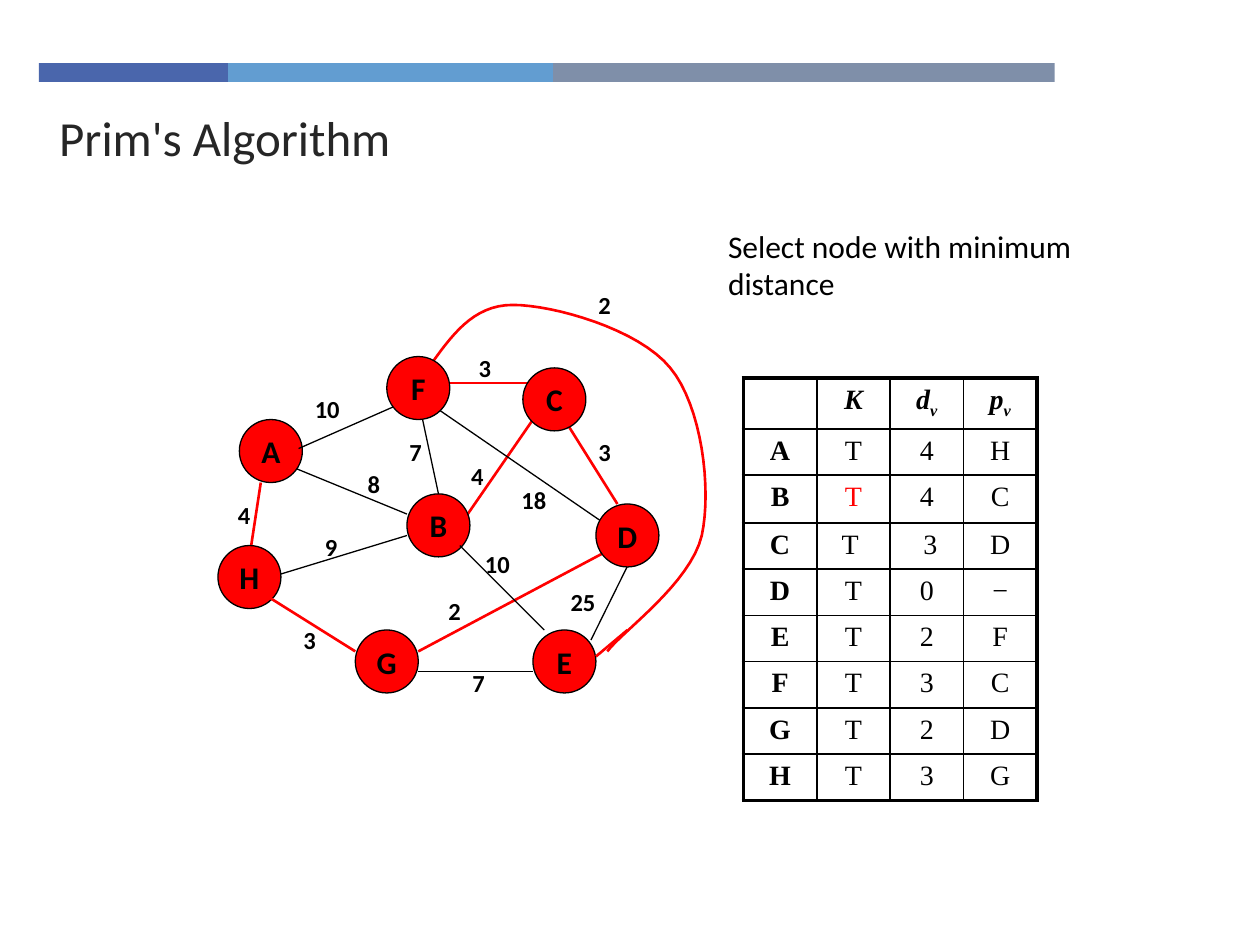
from lxml.etree import SubElement
from pptx import Presentation
from pptx.dml.color import RGBColor as RGB
from pptx.enum.shapes import MSO_CONNECTOR as CONN, MSO_SHAPE as SHAPE
from pptx.enum.text import MSO_ANCHOR as ANCHOR, MSO_AUTO_SIZE as AUTO, PP_ALIGN as ALIGN
from pptx.oxml import parse_xml
from pptx.oxml.ns import nsdecls, qn
from pptx.util import Pt

PX = 9144
C = {"black": "000000", "red": "FF0000", "title": "262626",
     "navy": "4A66AC", "sky": "629DD1", "slate": "7F8FA9"}
BARS = [("navy", 150), ("sky", 258), ("slate", 398)]
NODE = 50
NODES = {"A": (20, 113), "H": (3, 213), "B": (153, 172), "F": (137, 63),
         "E": (253, 280), "D": (303, 180), "C": (245, 72), "G": (112, 280)}
EDGES_BELOW = [
    ("black", 340, 205, 299, 288), ("black", 162, 97, 178, 172),
    ("red", 195, 197, 253, 113), ("black", 312, 197, 178, 105),
    ("black", 45, 238, 153, 205), ("red", 162, 297, 320, 213),
    ("red", 28, 222, 37, 163), ("black", 53, 147, 153, 188),
    ("red", 183, 84, 262, 84), ("red", 278, 113, 320, 180)]
EDGES_ABOVE = [
    ("black", 195, 213, 262, 280), ("black", 253, 313, 162, 313),
    ("red", 112, 297, 45, 255), ("black", 67, 136, 142, 103),
    ("red", 328, 280, 303, 301)]
CURVE = [(170, 72), (188, 47), (205, 22), (237, 22), (269, 22), (337, 41), (362, 72),
         (387, 102), (395, 168), (387, 205), (378, 243), (324, 281), (312, 297)]
WEIGHTS = [
    ("4", 9, 172), ("25", 273, 241), ("7", 195, 305), ("2", 176, 248), ("10", 205, 211),
    ("18", 234, 160), ("3", 295, 122), ("4", 194, 141), ("3", 200, 55), ("7", 145, 122),
    ("8", 112, 147), ("9", 78, 197), ("3", 61, 271), ("10", 70, 88), ("2", 295, 5)]
ROWS = [("", "K", "dv", "pv"), ("A", "T", "4", "H"), ("B", "T", "4", "C"),
        ("C", "T ", " 3", "D"), ("D", "T", "0", "−"), ("E", "T", "2", "F"),
        ("F", "T", "3", "C"), ("G", "T", "2", "D"), ("H", "T", "3", "G")]


def box(*lengths):
    """Turn px lengths into EMU."""
    return [round(n * PX) for n in lengths]


def style(r, size, color="black", bold=False, italic=False, font="Calibri"):
    """Format one run."""
    f = r.font
    f.name, f.size, f.bold, f.italic = font, Pt(size), bold, italic
    f.color.rgb = RGB.from_string(C[color])


def outline(line, color, width):
    """Give a line its colour and width."""
    line.color.rgb = RGB.from_string(C[color])
    line.width = Pt(width)


def add_text(s, x, y, w, h, text, size, bold=False):
    """Add a wrapped text box that grows with its text."""
    tf = s.shapes.add_textbox(*box(x, y, w, h)).text_frame
    tf.word_wrap, tf.auto_size = True, AUTO.SHAPE_TO_FIT_TEXT
    tf.text = text
    style(tf.paragraphs[0].runs[0], size, bold=bold)


def add_bars(s, x, y, h):
    """Lay the coloured bars end to end."""
    for color, w in BARS:
        sp = s.shapes.add_shape(SHAPE.RECTANGLE, *box(x, y, w, h))
        sp.shadow.inherit = False
        sp.fill.solid()
        sp.fill.fore_color.rgb = RGB.from_string(C[color])
        sp.line.fill.background()
        x += w


def add_title(s, x, y, w, h, text):
    """Place and format the title placeholder."""
    sp = s.shapes.title
    sp.left, sp.top, sp.width, sp.height = box(x, y, w, h)
    tf = sp.text_frame
    tf.text = text
    tf.vertical_anchor, tf.auto_size = ANCHOR.TOP, AUTO.NONE
    p = tf.paragraphs[0]
    p.alignment = ALIGN.LEFT
    style(p.runs[0], 28, "title")


def bezier(a, b, c, d, t):
    """Return the point at t on a cubic curve."""
    u = 1 - t
    return tuple(u**3 * i + 3 * u * u * t * j + 3 * u * t * t * k + t**3 * m
                 for i, j, k, m in zip(a, b, c, d))


def add_curve(s, x, y, steps=16):
    """Draw the curved edge from F to E."""
    pts = [bezier(*CURVE[i:i + 4], n / steps)
           for i in range(0, len(CURVE) - 1, 3) for n in range(1, steps + 1)]
    (x0, y0), *rest = [box(x + px, y + py) for px, py in [CURVE[0], *pts]]
    fb = s.shapes.build_freeform(x0, y0)
    fb.add_line_segments(rest, close=False)
    sp = fb.convert_to_shape()
    sp.shadow.inherit = False
    sp.fill.background()
    outline(sp.line, "red", 1.5)


def add_edges(s, x, y, edges):
    """Draw straight edges, tree edges being red and thicker."""
    for color, x1, y1, x2, y2 in edges:
        cn = s.shapes.add_connector(CONN.STRAIGHT, *box(x + x1, y + y1, x + x2, y + y2))
        outline(cn.line, color, 1.5 if color == "red" else 0.75)
        SubElement(cn._element.spPr, qn("a:effectLst"))


def add_nodes(s, x, y):
    """Draw the lettered nodes."""
    for name, (dx, dy) in NODES.items():
        sp = s.shapes.add_shape(SHAPE.OVAL, *box(x + dx, y + dy, NODE, NODE))
        sp.shadow.inherit = False
        sp.fill.solid()
        sp.fill.fore_color.rgb = RGB.from_string(C["red"])
        outline(sp.line, "black", 0.75)
        tf = sp.text_frame
        tf.word_wrap, tf.vertical_anchor = False, ANCHOR.MIDDLE
        tf.text = name
        p = tf.paragraphs[0]
        p.alignment = ALIGN.CENTER
        style(p.runs[0], 18, bold=True)


def add_graph(s, x, y):
    """Build the weighted graph."""
    add_curve(s, x, y)
    add_edges(s, x, y, EDGES_BELOW)
    add_nodes(s, x, y)
    add_edges(s, x, y, EDGES_ABOVE)
    for text, dx, dy in WEIGHTS:
        add_text(s, x + dx, y + dy, 33 if len(text) == 1 else 52, 33, text, 14, True)


def set_borders(cell, widths):
    """Set the left, right, top and bottom borders of a cell."""
    tcPr = cell._tc.get_or_add_tcPr()
    for i, (side, w) in enumerate(zip("LRTB", widths)):
        tcPr.insert(i, parse_xml(
            f'<a:ln{side} {nsdecls("a")} w="{Pt(w)}"><a:solidFill>'
            f'<a:srgbClr val="{C["black"]}"/></a:solidFill></a:ln{side}>'))


def fill_cell(cell, text, i, j):
    """Write one cell, with a subscript in two-letter headings."""
    p = cell.text_frame.paragraphs[0]
    p.alignment = ALIGN.CENTER
    parts = list(text) if i == 0 else [text]
    for n, part in enumerate(parts):
        r = p.add_run()
        r.text = part
        color = "red" if (i, j) == (2, 1) else "black"
        style(r, 16, color, i == 0 or j == 0, i == 0, "Times New Roman")
        if n:
            r._r.get_or_add_rPr().set("baseline", "-25000")


def add_state_table(s, x, y, w, h):
    """Build the table of K, distance and parent for each node."""
    rows, cols = len(ROWS), len(ROWS[0])
    tbl = s.shapes.add_table(rows, cols, *box(x, y, w, h)).table
    tbl.first_row = tbl.horz_banding = False
    for i, row in enumerate(ROWS):
        tbl.rows[i].height = box(38 if i == 2 else 36)[0]
        for j, text in enumerate(row):
            cell = tbl.cell(i, j)
            cell.fill.background()
            edges = (j == 0, j == cols - 1, i == 0, i == rows - 1)
            set_borders(cell, [2.25 if e else 1 for e in edges])
            fill_cell(cell, text, i, j)


def main():
    """Build and save the slide."""
    prs = Presentation()
    prs.slide_width, prs.slide_height = box(1000, 750)
    s = prs.slides.add_slide(prs.slide_layouts[5])
    add_bars(s, 31, 50, 15)
    add_title(s, 37, 80, 716, 54, "Prim's Algorithm")
    add_graph(s, 170, 220)
    add_text(s, 568, 175, 317, 77, "Select node with minimum distance", 18)
    add_state_table(s, 590, 300, 233, 332)
    prs.save("out.pptx")


if __name__ == "__main__":
    main()
